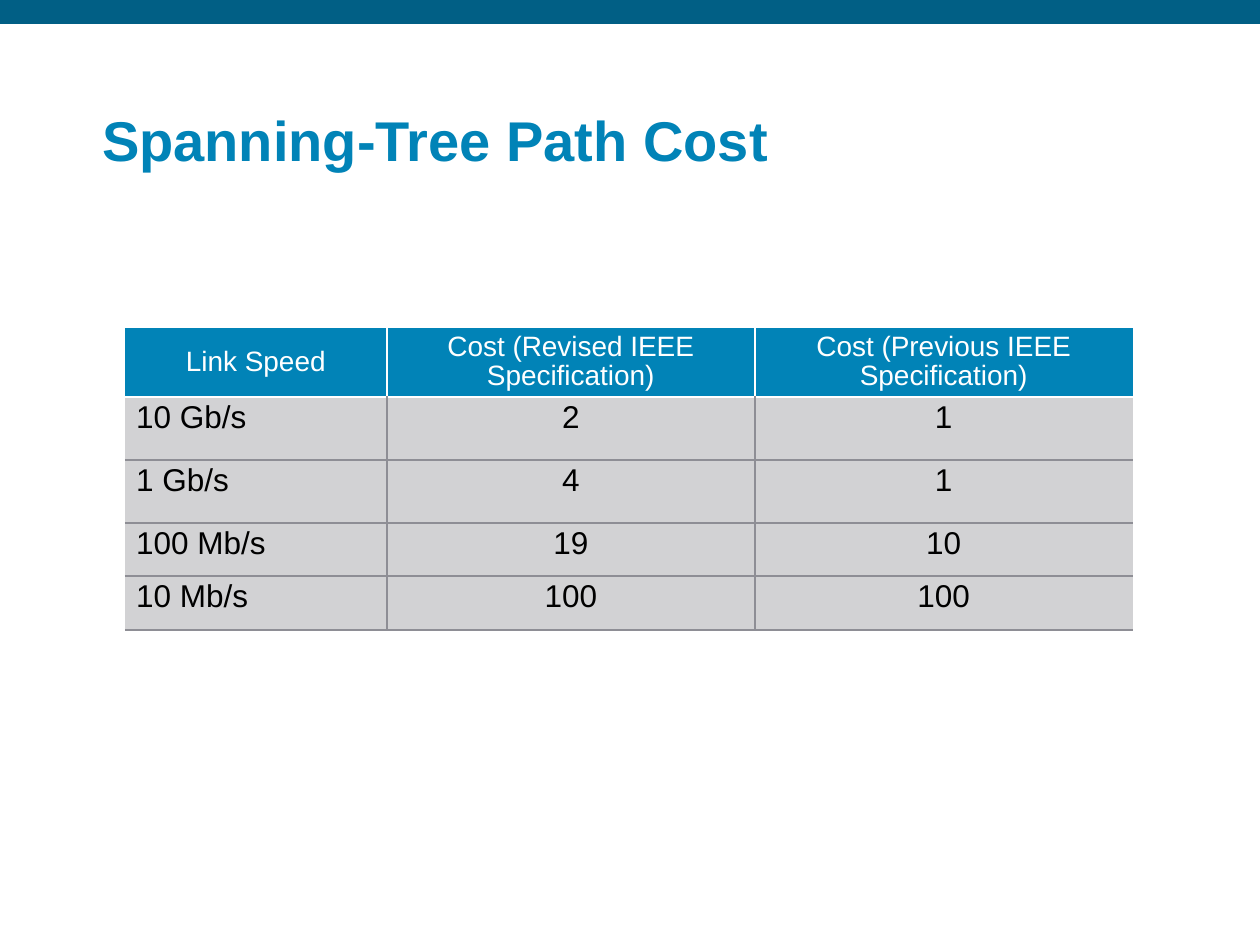
"""Build a slide with a table of spanning-tree path costs by link speed."""
import pptx
import pptx.dml.color
import pptx.enum.text
import pptx.oxml
import pptx.oxml.ns
import pptx.util

TITLE = "Spanning-Tree Path Cost"
ROWS = [
    ("Link Speed", "Cost (Revised IEEE Specification)", "Cost (Previous IEEE Specification)"),
    ("10 Gb/s", "2", "1"),
    ("1 Gb/s", "4", "1"),
    ("100 Mb/s", "19", "10"),
    ("10 Mb/s", "100", "100"),
]
COL_WIDTHS = (2.08, 2.92, 3)
ROW_HEIGHTS = (0.55, 0.5, 0.5, 0.42, 0.43)
TABLE_LEFT, TABLE_TOP = 0.99, 2.6
THEME = {
    "font": "Arial", "bar": "015F85", "accent": "0183B7", "white": "FFFFFF",
    "body": "D2D2D4", "rule": "8E8E95", "text": "000000",
    "title_size": 32, "head_size": 16, "body_size": 18, "rule_width": 1.5,
}
Inches = pptx.util.Inches
ALIGN = pptx.enum.text.PP_ALIGN
ANCHOR = pptx.enum.text.MSO_ANCHOR


def color(name):
    return pptx.dml.color.RGBColor.from_string(THEME[name])


def write(tf, text, size, fill, align, spacing, bold=False):
    p = tf.paragraphs[0]
    p.alignment, p.line_spacing = align, spacing
    r = p.add_run()
    r.text = text
    r.font.name, r.font.size, r.font.bold = THEME["font"], pptx.util.Pt(THEME[size]), bold
    r.font.color.rgb = color(fill)


def set_margins(target, side=0.09):
    target.margin_left = target.margin_right = Inches(side)
    target.margin_top = target.margin_bottom = Inches(0.04)


def set_borders(cell, edges):
    tc_pr = cell._tc.get_or_add_tcPr()
    for i, (side, name) in enumerate(edges):
        width = pptx.util.Pt(THEME["rule_width"])
        paint = f'<a:solidFill><a:srgbClr val="{THEME[name]}"/></a:solidFill>' if name else "<a:noFill/>"
        tc_pr.insert(i, pptx.oxml.parse_xml(
            f'<a:ln{side} {pptx.oxml.ns.nsdecls("a")} w="{width}">{paint}</a:ln{side}>'))


def add_cost_table(s):
    last_col = len(COL_WIDTHS) - 1
    frame = s.shapes.add_table(
        len(ROWS), len(COL_WIDTHS), Inches(TABLE_LEFT), Inches(TABLE_TOP),
        Inches(sum(COL_WIDTHS)), Inches(sum(ROW_HEIGHTS)))
    table = frame.table
    for column, width in zip(table.columns, COL_WIDTHS):
        column.width = Inches(width)
    for row, height in zip(table.rows, ROW_HEIGHTS):
        row.height = Inches(height)
    for i, values in enumerate(ROWS):
        head = i == 0
        rule = "white" if head else "rule"
        for j, value in enumerate(values):
            cell = table.cell(i, j)
            set_margins(cell, 0.06 if head and j == last_col else 0.09)
            cell.vertical_anchor = ANCHOR.MIDDLE if head else ANCHOR.TOP
            cell.fill.solid()
            cell.fill.fore_color.rgb = color("accent" if head else "body")
            write(cell.text_frame, value, "head_size" if head else "body_size",
                  "white" if head else "text",
                  ALIGN.CENTER if head or j else ALIGN.LEFT, 0.95)
            set_borders(cell, [
                ("L", rule if j else None),
                ("R", rule if j < last_col else None),
                ("T", None if head else "white" if i == 1 else "rule"),
                ("B", rule),
            ])


def main():
    prs = pptx.Presentation()
    prs.slide_width, prs.slide_height = Inches(10), Inches(7.5)
    s = prs.slides.add_slide(prs.slide_layouts[5])

    bar = s.shapes.add_shape(
        pptx.enum.shapes.MSO_SHAPE.RECTANGLE, 0, 0, prs.slide_width, Inches(0.19))
    bar.shadow.inherit = False
    bar.fill.solid()
    bar.fill.fore_color.rgb = color("bar")
    bar.line.fill.background()

    title = s.shapes.title
    title.left, title.top, title.width, title.height = map(Inches, (0.72, 0.5, 8.91, 0.92))
    tf = title.text_frame
    tf.word_wrap, tf.vertical_anchor = True, ANCHOR.BOTTOM
    set_margins(tf)
    write(tf, TITLE, "title_size", "accent", ALIGN.LEFT, 0.9, bold=True)

    add_cost_table(s)
    prs.save("out.pptx")


if __name__ == "__main__":
    main()
